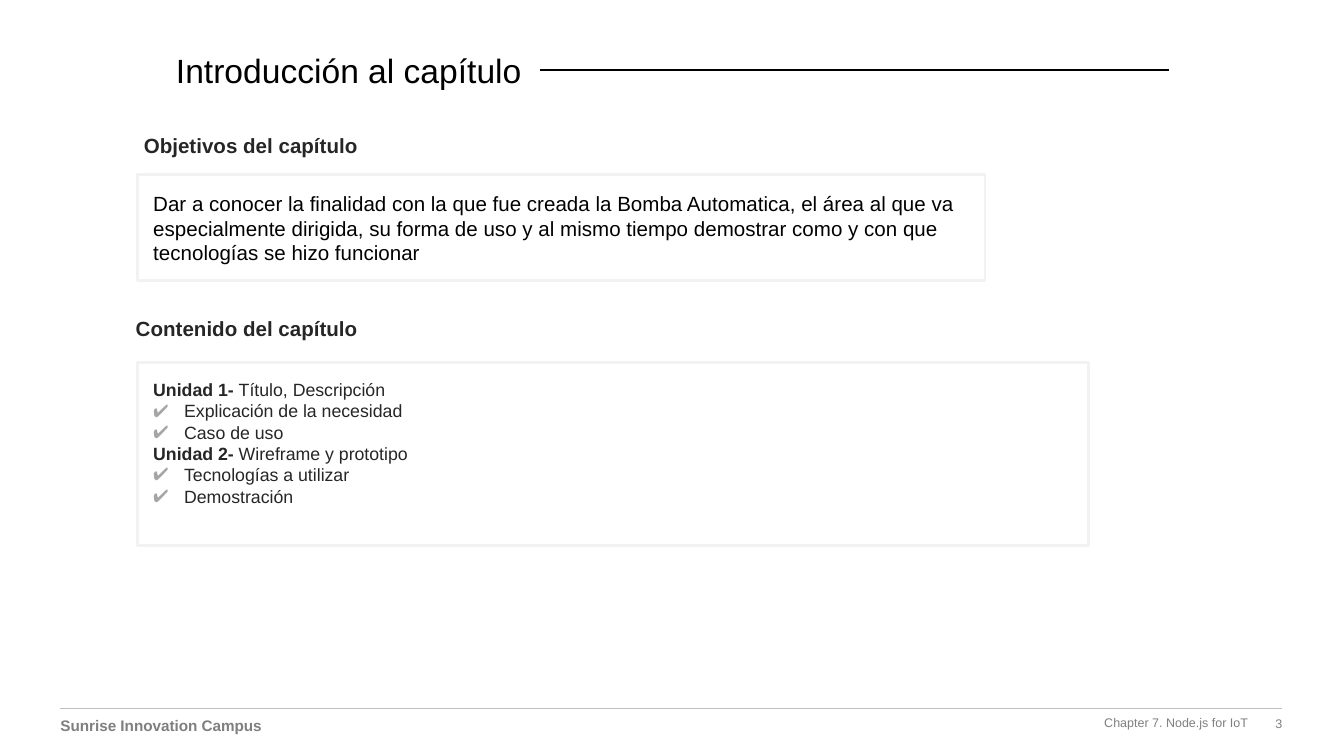
from lxml.etree import SubElement
from pptx import Presentation
from pptx.dml.color import RGBColor
from pptx.enum.shapes import MSO_CONNECTOR as Connector, MSO_SHAPE as Shape
from pptx.enum.text import MSO_ANCHOR as Anchor, PP_ALIGN as Align
from pptx.oxml.ns import qn
from pptx.util import Inches, Pt


def color(value):
    return RGBColor.from_string(value)


def write(frame, paragraphs, size, text_color, inset=0, align=Align.LEFT, anchor=Anchor.TOP):
    settings = {"word_wrap": True, "vertical_anchor": anchor}
    for side in ("left", "top", "right", "bottom"):
        settings["margin_" + side] = Inches(inset)
    for name, value in settings.items():
        setattr(frame, name, value)
    for index, (runs, bullet) in enumerate(paragraphs):
        paragraph = frame.paragraphs[0] if index == 0 else frame.add_paragraph()
        paragraph.alignment = align
        if bullet:
            properties = paragraph._p.get_or_add_pPr()
            properties.set("marL", str(Inches(0.23)))
            properties.set("indent", str(Inches(-0.23)))
            bullet_color = SubElement(properties, qn("a:buClr"))
            SubElement(bullet_color, qn("a:srgbClr"), val="A5A5A5")
            SubElement(properties, qn("a:buFont"), typeface="Arial")
            SubElement(properties, qn("a:buChar"), char=bullet)
        for text, bold in runs:
            run = paragraph.add_run()
            run.text = text
            for name, value in {"name": "Arial", "size": Pt(size), "bold": bold}.items():
                setattr(run.font, name, value)
            run.font.color.rgb = color(text_color)


presentation = Presentation()
presentation.slide_width = Inches(10)
presentation.slide_height = Inches(10) * 9 // 16
slide = presentation.slides.add_slide(presentation.slide_layouts[6])

lines = [(0.45, 9.54, 5.27, "BFBFBF", 0.75), (4.02, 8.7, 0.52, "000000", 1)]
for start, end, top, line_color, width in lines:
    line = slide.shapes.add_connector(
        Connector.STRAIGHT, Inches(start), Inches(top), Inches(end), Inches(top))
    line.line.color.rgb = color(line_color)
    line.line.width = Pt(width)
    SubElement(line._element.spPr, qn("a:effectLst"))

right_middle = {"align": Align.RIGHT, "anchor": Anchor.MIDDLE}
labels = [
    ("3", (8.92, 5.33, 0.62, 0.11), 6.75, "7F7F7F", False, right_middle),
    ("Sunrise Innovation Campus", (0.45, 5.33, 2.92, 0.14), 8.2, "7F7F7F", True, {}),
    ("Chapter 7. Node.js for IoT", (3.85, 5.32, 5.44, 0.11), 6.75, "7F7F7F", False, right_middle),
    ("Introducción al capítulo", (1.31, 0.37, 7.2, 0.3), 18, "000000", False, {}),
    ("Objetivos del capítulo", (1.07, 0.99, 7.08, 0.19), 11, "262626", True, {}),
    ("Contenido del capítulo", (1.01, 2.35, 7.09, 0.19), 11, "262626", True, {}),
]
for text, place, size, text_color, bold, layout in labels:
    label = slide.shapes.add_textbox(*map(Inches, place))
    write(label.text_frame, [([(text, bold)], None)], size, text_color, **layout)

objective = (
    "Dar a conocer la finalidad con la que fue creada la Bomba Automatica, "
    "el área al que va especialmente dirigida, su forma de uso y al mismo tiempo "
    "demostrar como y con que tecnologías se hizo funcionar")
units = [
    ("Unidad 1- ", "Título, Descripción", ["Explicación de la necesidad", "Caso de uso"]),
    ("Unidad 2- ", "Wireframe y prototipo", ["Tecnologías a utilizar", "Demostración"]),
]
contents = []
for unit, title, topics in units:
    contents.append(([(unit, True), (title, False)], None))
    contents.extend(([(topic, False)], "✔") for topic in topics)

boxes = [
    ((1.02, 1.3, 6.31, 0.79), [([(objective, False)], None)], 11, "000000"),
    ((1.02, 2.7, 7.08, 1.36), contents, 9.5, "262626"),
]
for place, paragraphs, size, text_color in boxes:
    box = slide.shapes.add_shape(Shape.RECTANGLE, *map(Inches, place))
    box.shadow.inherit = False
    box.fill.background()
    box.line.color.rgb = color("F2F2F2")
    box.line.width = Pt(1.5)
    write(box.text_frame, paragraphs, size, text_color, inset=0.12)

presentation.save("out.pptx")
